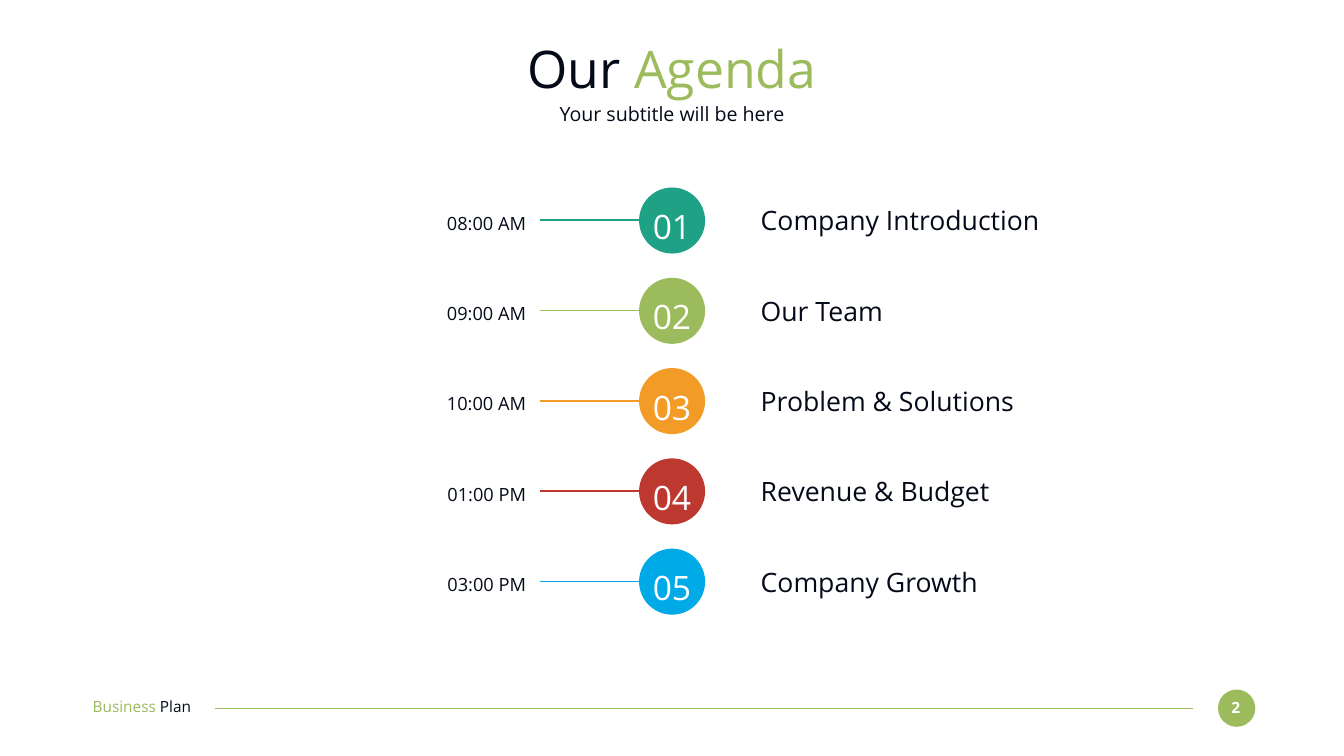
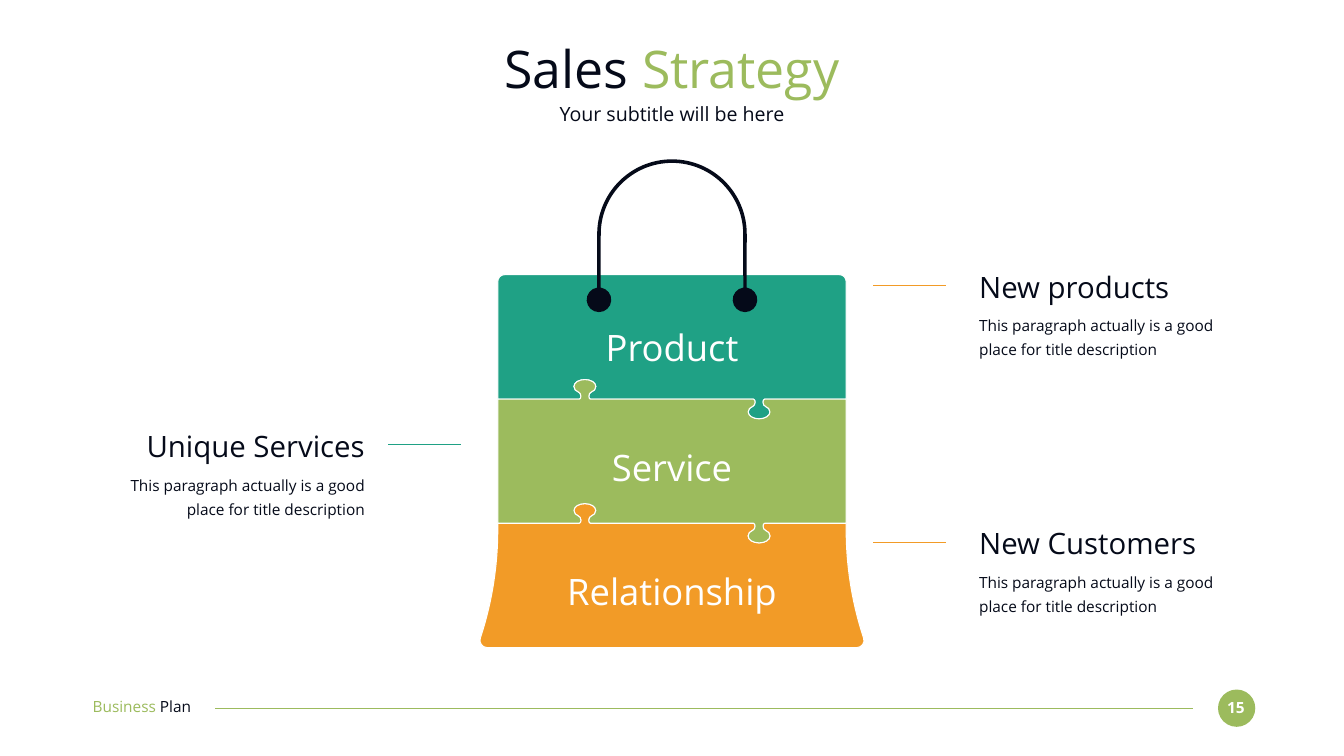
import math
from dataclasses import dataclass

from lxml import etree
from pptx import Presentation
from pptx import util as u
from pptx.dml.color import RGBColor
from pptx.enum import shapes, text
from pptx.oxml.ns import qn

Cm = u.Cm
LEFT, CENTER, RIGHT = text.PP_ALIGN.LEFT, text.PP_ALIGN.CENTER, text.PP_ALIGN.RIGHT


@dataclass(frozen=True)
class Theme:
    font: str = "Open Sans"
    ink: str = "050A19"
    white: str = "FFFFFF"
    teal: str = "1FA185"
    green: str = "9CBB5D"
    orange: str = "F29B27"
    red: str = "BD382F"
    blue: str = "00AAE6"
    title: int = 74
    subtitle: int = 28
    label: int = 52
    number: int = 48
    heading: int = 42
    topic: int = 38
    time: int = 26
    small: int = 22


T = Theme()
WIDTH, HEIGHT = 67.74, 38.1
MID = WIDTH / 2


def rgb(color):
    return RGBColor.from_string(color)


def write(tf, *parts, size, color=T.ink, align=LEFT, bold=False, spacing=None):
    """Fill a frame with one paragraph; a part is text or (text, colour)."""
    tf.word_wrap = True
    tf.vertical_anchor = text.MSO_ANCHOR.MIDDLE
    tf.margin_left = tf.margin_right = tf.margin_top = tf.margin_bottom = 0
    p = tf.paragraphs[0]
    p.alignment = align
    if spacing:
        p.line_spacing = spacing
    for part in parts:
        words, tint = (part, color) if isinstance(part, str) else part
        r = p.add_run()
        r.text = words
        r.font.name, r.font.size, r.font.bold = T.font, u.Pt(size), bold
        r.font.color.rgb = rgb(tint)


class Deck:
    def __init__(self):
        self.prs = Presentation()
        self.prs.slide_width, self.prs.slide_height = Cm(WIDTH), Cm(HEIGHT)
        self.s = None

    def slide(self, first, accent, page):
        """Start a slide with the shared footer and two-colour title."""
        self.s = self.prs.slides.add_slide(self.prs.slide_layouts[6])
        # Footer
        self.circle(61.39, 34.75, 1.88, T.green)
        self.text(61.54, 35.18, 1.5, 0.94, str(page), size=T.small,
                  color=T.white, align=CENTER, bold=True)
        self.line(60.12, 10.85, 35.69, T.green)
        self.text(4.67, 35.15, 6.58, 0.94, ("Business ", T.green), "Plan", size=T.small)
        # Title
        self.text(4.66, 1.82, 58.42, 3.23, first + " ", (accent, T.green),
                  size=T.title, align=CENTER)
        self.text(4.66, 5.13, 58.42, 1.24, "Your subtitle will be here",
                  size=T.subtitle, align=CENTER)

    def text(self, x, y, w, h, *parts, **style):
        sp = self.s.shapes.add_textbox(Cm(x), Cm(y), Cm(w), Cm(h))
        write(sp.text_frame, *parts, **style)

    def paint(self, sp, fill, outline=None):
        sp.shadow.inherit = False
        sp.fill.solid()
        sp.fill.fore_color.rgb = rgb(fill)
        if outline:
            sp.line.color.rgb, sp.line.width = rgb(outline), u.Pt(1.5)
        else:
            sp.line.fill.background()

    def circle(self, x, y, d, fill):
        sp = self.s.shapes.add_shape(shapes.MSO_SHAPE.OVAL, Cm(x), Cm(y), Cm(d), Cm(d))
        self.paint(sp, fill)

    def line(self, x1, x2, y, color, width=1.5):
        sp = self.s.shapes.add_connector(
            shapes.MSO_CONNECTOR.STRAIGHT, Cm(x1), Cm(y), Cm(x2), Cm(y))
        sp.line.color.rgb, sp.line.width = rgb(color), u.Pt(width)
        etree.SubElement(sp._element.spPr, qn("a:effectLst"))

    def outline(self, nodes, fill, outline=None):
        """Closed outline of cubic curves; x is measured from the slide's middle."""
        points = [(Cm(MID + x), Cm(y)) for x, y in nodes]
        builder = self.s.shapes.build_freeform(*points[0])
        builder.add_line_segments(points[1:], close=True)
        sp = builder.convert_to_shape()
        # Every three line steps become the two handles and the end of one curve
        steps = list(sp._element.iter(qn("a:lnTo")))
        for i in range(0, len(steps), 3):
            bezier = etree.Element(qn("a:cubicBezTo"))
            steps[i].addprevious(bezier)
            for step in steps[i:i + 3]:
                bezier.append(step[0])
                step.getparent().remove(step)
        self.paint(sp, fill, outline)


# Outline geometry: a start node, then two handles and an end for each curve
def join(*runs):
    """Chain runs of nodes, with a straight step wherever they do not touch."""
    nodes = list(runs[0])
    for run in runs[1:]:
        if math.dist(nodes[-1], run[0]) > 0.001:
            nodes += [nodes[-1], run[0], run[0]]
        nodes += run[1:]
    return nodes


def arc(cx, cy, r, start, end, pieces):
    step = math.radians(end - start) / pieces
    k = 4 / 3 * math.tan(step / 4)
    nodes = []
    for i in range(pieces + 1):
        a = math.radians(start) + i * step
        x, y = math.cos(a), math.sin(a)
        nodes += [(cx + r * (x - side * k * y), cy + r * (y + side * k * x))
                  for side in (-1, 0, 1)]
    return nodes[1:-1]


def mirrored(nodes):
    return [(-x, y) for x, y in reversed(nodes)]


HALF_BAG = 8.78
SEAMS = 20.12, 26.37
HALF_TAB = [(-0.28, 0), (-0.23, 0), (-0.2, 0.08), (-0.2, 0.15),
            (-0.2, 0.25), (-0.25, 0.33), (-0.32, 0.36),
            (-0.46, 0.41), (-0.55, 0.51), (-0.55, 0.64),
            (-0.55, 0.84), (-0.3, 0.99), (0, 0.99)]
TAB = join(HALF_TAB, mirrored(HALF_TAB))


def seam(y):
    """Puzzle edge, left to right: one tab up, one tab down."""
    tabs = [[(side * HALF_BAG / 2 + dx, y + side * dy) for dx, dy in TAB]
            for side in (-1, 1)]
    return join([(-HALF_BAG, y)], *tabs, [(HALF_BAG, y)])


def agenda(deck):
    deck.slide("Our", "Agenda", 2)
    rows = [
        ("08:00 AM", "Company Introduction", T.teal),
        ("09:00 AM", "Our Team", T.green),
        ("10:00 AM", "Problem & Solutions", T.orange),
        ("01:00 PM", "Revenue & Budget", T.red),
        ("03:00 PM", "Company Growth", T.blue),
    ]
    for i, (time, topic, color) in enumerate(rows):
        y = 9.45 + 4.55 * i
        deck.circle(32.21, y, 3.33, color)
        deck.line(27.2, 32.21, y + 1.65, color, width=2.25)
        deck.text(32.56, y + 0.51, 2.62, 2.46, f"{i + 1:02}", size=T.number,
                  color=T.white, align=CENTER, spacing=1.2)
        deck.text(17.53, y + 0.95, 8.99, 1.35, time, size=T.time, align=RIGHT, spacing=1.3)
        deck.text(38.34, y + 0.84, 15.98, 1.63, topic, size=T.topic)


def sales_strategy(deck):
    deck.slide("Sales", "Strategy", 15)
    upper, lower = map(seam, SEAMS)

    # Bag: flared base, rounded top, middle piece
    base, top = SEAMS[1], 13.84
    flare = [(HALF_BAG, base + 0.33), (HALF_BAG, base + 2.18),
             (9.08, base + 4.04), (9.66, base + 5.79),
             (9.74, base + 6.02), (9.56, base + 6.27), (9.31, base + 6.27)]
    corner = [(-HALF_BAG, top + 0.36), (-HALF_BAG, top + 0.15),
              (0.15 - HALF_BAG, top), (0.36 - HALF_BAG, top)]
    deck.outline(join(lower, flare, mirrored(flare)), T.orange, T.white)
    deck.outline(join(corner, mirrored(corner), upper[::-1]), T.teal, T.white)
    deck.outline(join(upper, lower[::-1]), T.green, T.white)

    # Handle: a thin arch ending in two knobs
    reach, half, arch_y, knob_y = 3.68, 0.09, 11.8, 15.11
    deck.outline(join(arc(0, arch_y, reach + half, 180, 360, 2),
                      arc(reach, knob_y, 0.62, -82, 262, 4),
                      arc(0, arch_y, reach - half, 0, -180, 2),
                      arc(-reach, knob_y, 0.62, -82, 262, 4)), T.ink)

    for label, y in (("Product", 16.38), ("Service", 22.43), ("Relationship", 28.65)):
        deck.text(27.18, y, 13.39, 2.24, label, size=T.label, color=T.white, align=CENTER)

    # Callouts: text x, line ends, alignment
    left, right = (4.65, 23.22, 19.56, RIGHT), (49.35, 47.68, 44.02, LEFT)
    callouts = [
        ("Unique Services", 21.56, left, T.teal),
        ("New Customers", 26.47, right, T.orange),
        ("New products", 13.53, right, T.orange),
    ]
    for heading, y, (x, x1, x2, align), color in callouts:
        deck.line(x1, x2, y + 0.86, color)
        deck.text(x, y, 13.74, 1.8, heading, size=T.heading, align=align)
        deck.text(x, y + 2.18, 13.74, 2.34,
                  "This paragraph actually is a good place for title description",
                  size=T.small, align=align, spacing=1.3)


def main():
    deck = Deck()
    agenda(deck)
    sales_strategy(deck)
    deck.prs.save("out.pptx")


if __name__ == "__main__":
    main()
